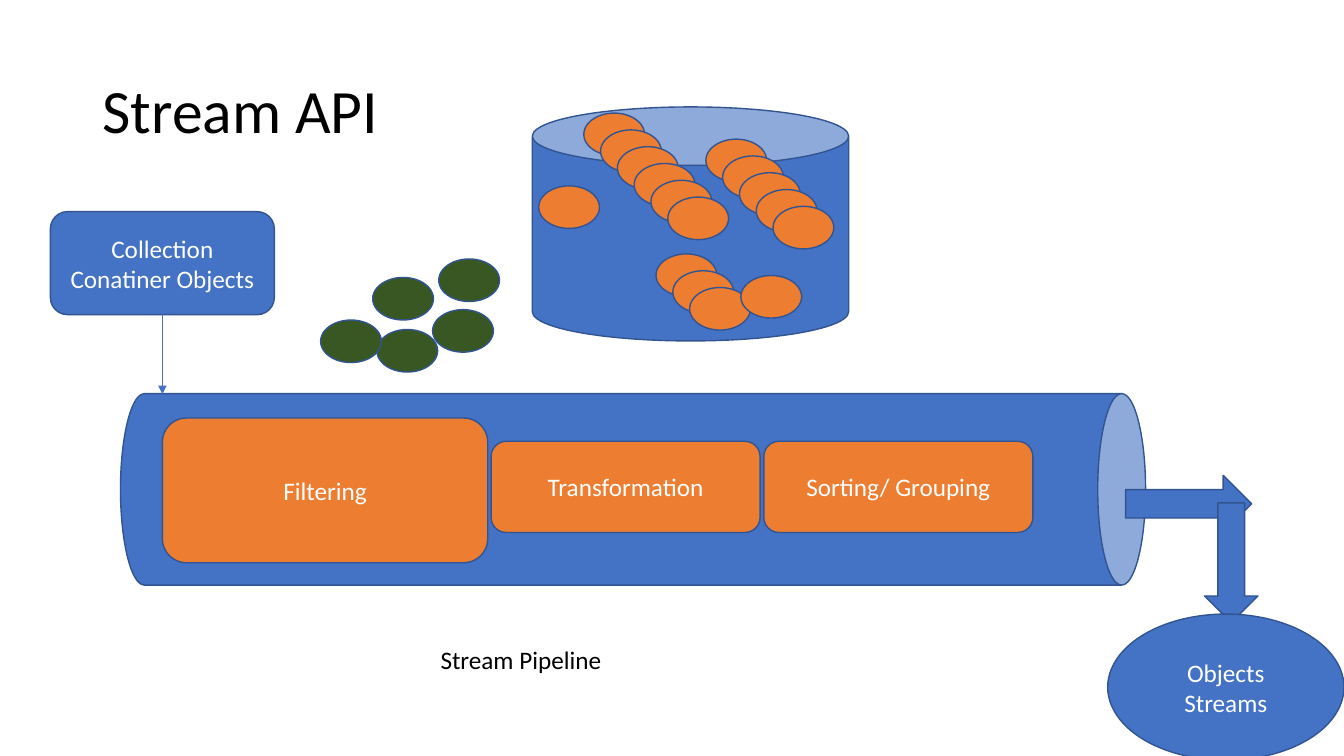
"""Build the Stream API pipeline slide."""
from lxml import etree
from pptx import Presentation
from pptx.dml.color import RGBColor
from pptx.enum.shapes import MSO_CONNECTOR as Link, MSO_SHAPE as Shape
from pptx.enum.text import MSO_ANCHOR as Anchor, MSO_AUTO_SIZE as Fit, PP_ALIGN as Align
from pptx.oxml.ns import qn
from pptx.util import Pt

BLUE, ORANGE, GREEN, EDGE = "4472C4", "ED7D31", "385723", "325491"
WHITE, BLACK = "FFFFFF", "000000"

TITLE = ("Stream API", (66, 28.8, 828, 104.4))
PIPE = (383.76, -16.56, 136.8, 732.24)
SOURCE = (["Collection", "Conatiner Objects"], (36, 151.2, 160, 73.6))
FEED = (116, 224.8, 116, 281.5)
CAPTION = ("Stream Pipeline", (307.6, 456.4, 130.4, 29))
STAGES = [
    ("Filtering", (116, 298.6, 232.4, 103.4)),
    ("Transformation", (350.8, 315.2, 192.2, 65.2)),
    ("Sorting/ Grouping", (545.6, 315.2, 192.2, 65.2)),
]
OUTLETS = [
    (Shape.RIGHT_ARROW, (804, 339.6, 90, 40.6)),
    (Shape.DOWN_ARROW, (860.4, 359.2, 38.2, 85.6)),
]
RESULT = (["Objects", "Streams"], (791.2, 438.6, 168.8, 104.4))
CONTAINER = (380.2, 76.4, 226, 167.2)

OBJECT_SIZE = (43.4, 30.4)
CASCADE_STEP = 12
REJECTED = [(269.2, 235.4), (229, 228.6), (313.4, 185), (309, 221.2), (266.2, 198.2)]
CASCADES = [
    ((417, 80.8), 6),
    ((504.2, 99.4), 5),
    ((384.8, 132.8), 1),
    ((468.6, 181.4), 3),
    ((529.2, 196.8), 1),
]


def color(code):
    return RGBColor.from_string(code)


def write(part, lines, size=18, ink=WHITE, align=Align.CENTER, anchor=Anchor.MIDDLE,
          spacing=None, wrap=True, fit=Fit.NONE):
    frame = part.text_frame
    frame.word_wrap = wrap
    frame.auto_size = fit
    frame.vertical_anchor = anchor
    frame.text = "\n".join(lines)
    for line in frame.paragraphs:
        line.alignment = align
        line.line_spacing = spacing
        line.font.name = "Calibri"
        line.font.size = Pt(size)
        line.font.color.rgb = color(ink)


def draw(slide, kind, box, fill=BLUE, lines=None, turn=0):
    part = slide.shapes.add_shape(kind, *map(Pt, box))
    part.rotation = turn
    part.shadow.inherit = False
    part.fill.solid()
    part.fill.fore_color.rgb = color(fill)
    part.line.color.rgb = color(EDGE)
    part.line.width = Pt(1)
    if lines:
        write(part, lines)


def draw_feed(slide):
    feed = slide.shapes.add_connector(Link.STRAIGHT, *map(Pt, FEED))
    feed.line.color.rgb = color(BLUE)
    feed.line.width = Pt(0.5)
    etree.SubElement(feed.line._get_or_add_ln(), qn("a:tailEnd"), type="triangle")
    etree.SubElement(feed._element.spPr, qn("a:effectLst"))


def main():
    deck = Presentation()
    deck.slide_width, deck.slide_height = Pt(960), Pt(540)
    slide = deck.slides.add_slide(deck.slide_layouts[5])

    heading, box = TITLE
    title = slide.shapes.title
    title.left, title.top, title.width, title.height = map(Pt, box)
    write(title, [heading], size=44, ink=BLACK, align=Align.LEFT, spacing=0.9)

    draw(slide, Shape.CAN, PIPE, turn=90)
    lines, box = SOURCE
    draw(slide, Shape.ROUNDED_RECTANGLE, box, lines=lines)
    draw_feed(slide)

    text, box = CAPTION
    caption = slide.shapes.add_textbox(*map(Pt, box))
    write(caption, [text], ink=BLACK, align=Align.LEFT, anchor=Anchor.TOP,
          wrap=False, fit=Fit.SHAPE_TO_FIT_TEXT)

    for stage, box in STAGES:
        draw(slide, Shape.ROUNDED_RECTANGLE, box, ORANGE, [stage])
    for arrow, box in OUTLETS:
        draw(slide, arrow, box)
    lines, box = RESULT
    draw(slide, Shape.OVAL, box, lines=lines)

    draw(slide, Shape.CAN, CONTAINER)
    for corner in REJECTED:
        draw(slide, Shape.OVAL, corner + OBJECT_SIZE, GREEN)
    for (left, top), count in CASCADES:
        for index in range(count):
            shift = index * CASCADE_STEP
            draw(slide, Shape.OVAL, (left + shift, top + shift) + OBJECT_SIZE, ORANGE)

    deck.save("out.pptx")


if __name__ == "__main__":
    main()
